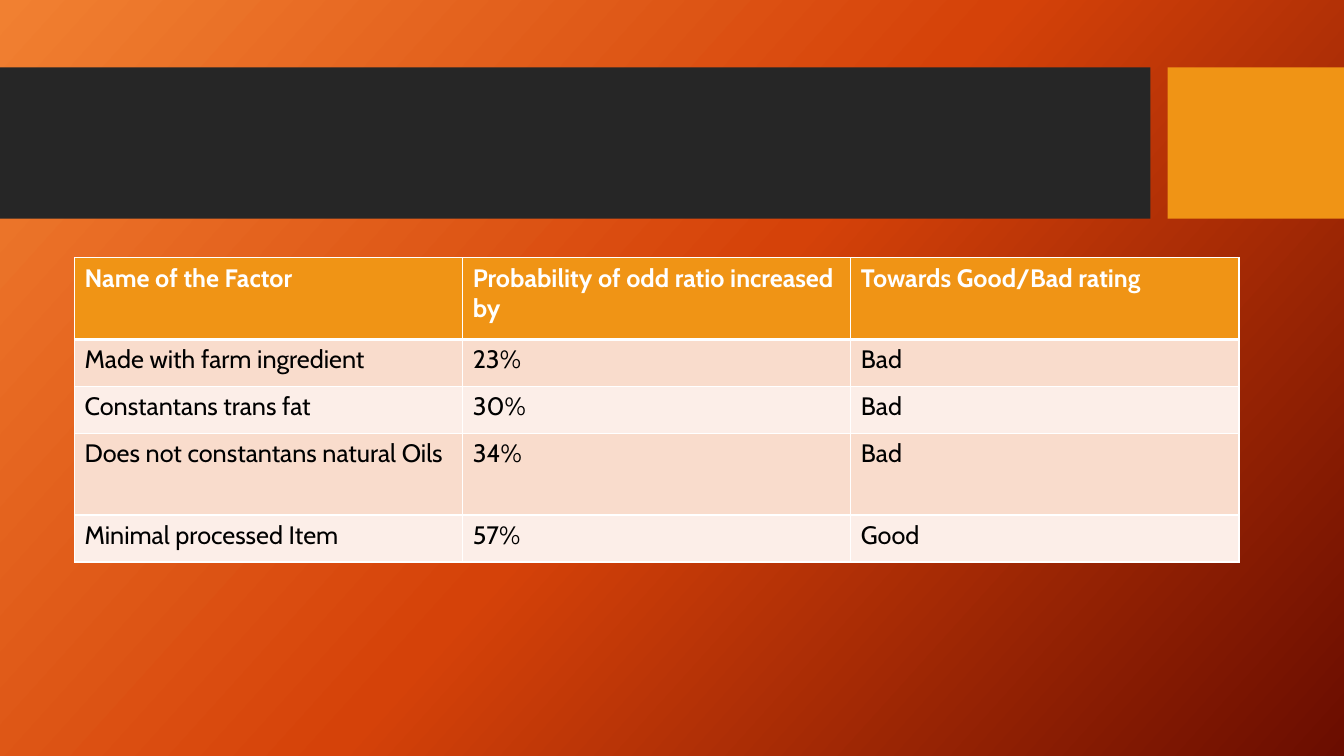
from copy import deepcopy
from typing import NamedTuple

from lxml.etree import SubElement
from pptx import Presentation
from pptx.dml.color import RGBColor
from pptx.enum.shapes import MSO_SHAPE as Shape
from pptx.oxml.ns import qn
from pptx.util import Inches, Pt

COLORS = {
    "band": "262626",
    "accent": "F09415",
    "odd_row": "F9DCCC",
    "even_row": "FCEEE8",
    "white": "FFFFFF",
    "black": "000000",
    "glow": "F18031",
    "ember": "D54209",
    "dark": "6A0D00",
}
WIDTH, HEIGHT = Inches(13.33), Inches(7.5)
GRADIENT = [(0, "glow"), (0.5, "ember"), (1, "dark")]


class Area(NamedTuple):
    """A rectangle in percent of the slide's width and height."""
    left: float
    top: float
    width: float
    height: float

    def emu(self) -> tuple[int, int, int, int]:
        return (across(self.left), down(self.top),
                across(self.width), down(self.height))


class Block(NamedTuple):
    area: Area
    color: str


class RowStyle(NamedTuple):
    fill: str
    font: dict
    top_line: float
    bottom_line: float


BLOCKS = [
    Block(Area(0, 8.93, 85.6, 20), "band"),
    Block(Area(86.87, 8.93, 13.13, 20), "accent"),
]
ROWS = [
    ("Name of the Factor", "Probability of odd ratio increased by",
     "Towards Good/Bad rating"),
    ("Made with farm ingredient", "23%", "Bad"),
    ("Constantans trans fat", "30%", "Bad"),
    ("Does not constantans natural Oils", "34%", "Bad"),
    ("Minimal processed Item", "57%", "Good"),
]
TALL, SHORT = 10.8, 6.22
ROW_HEIGHTS = [TALL, SHORT, SHORT, TALL, SHORT]
TABLE_AREA = Area(5.55, 34.1, 86.64, sum(ROW_HEIGHTS))


def across(percent: float) -> int:
    return round(WIDTH * percent / 100)


def down(percent: float) -> int:
    return round(HEIGHT * percent / 100)


def rgb(name: str) -> RGBColor:
    return RGBColor.from_string(COLORS[name])


def paint_background(slide) -> None:
    fill = slide.background.fill
    fill.gradient()
    fill.gradient_angle = 360 - 42
    stops = slide.element.find(".//" + qn("a:gsLst"))
    stops.append(deepcopy(stops[-1]))
    for stop, (position, color) in zip(fill.gradient_stops, GRADIENT):
        stop.position = position
        stop.color.rgb = rgb(color)


def add_block(slide, block: Block) -> None:
    sp = slide.shapes.add_shape(Shape.RECTANGLE, *block.area.emu())
    sp.shadow.inherit = False
    sp.fill.solid()
    sp.fill.fore_color.rgb = rgb(block.color)
    sp.line.fill.background()


def add_borders(cell, style: RowStyle) -> None:
    tc_pr = cell._tc.get_or_add_tcPr()
    widths = {"lnL": 1, "lnR": 1,
              "lnT": style.top_line, "lnB": style.bottom_line}
    for side, width in widths.items():
        line = SubElement(tc_pr, qn(f"a:{side}"), w=str(Pt(width)))
        solid = SubElement(line, qn("a:solidFill"))
        SubElement(solid, qn("a:srgbClr"), val=COLORS["white"])


def row_style(index: int) -> RowStyle:
    font = {"name": "Cabin", "size": Pt(18), "bold": index == 0}
    if index == 0:
        return RowStyle("accent", font, 1, 3)
    fill = "odd_row" if index % 2 else "even_row"
    return RowStyle(fill, font, 3 if index == 1 else 1, 1)


def fill_cell(cell, text: str, style: RowStyle) -> None:
    add_borders(cell, style)
    cell.fill.solid()
    cell.fill.fore_color.rgb = rgb(style.fill)
    r = cell.text_frame.paragraphs[0].add_run()
    r.text = text
    for name, value in style.font.items():
        setattr(r.font, name, value)
    r.font.color.rgb = rgb("white" if style.font["bold"] else "black")


def add_factor_table(slide) -> None:
    frame = slide.shapes.add_table(len(ROWS), len(ROWS[0]), *TABLE_AREA.emu())
    table = frame.table
    for i, (texts, height) in enumerate(zip(ROWS, ROW_HEIGHTS)):
        table.rows[i].height = down(height)
        for j, text in enumerate(texts):
            fill_cell(table.cell(i, j), text, row_style(i))


def main() -> None:
    prs = Presentation()
    prs.slide_width, prs.slide_height = WIDTH, HEIGHT
    slide = prs.slides.add_slide(prs.slide_layouts.get_by_name("Blank"))
    paint_background(slide)
    for block in BLOCKS:
        add_block(slide, block)
    add_factor_table(slide)
    prs.save("out.pptx")


if __name__ == "__main__":
    main()
